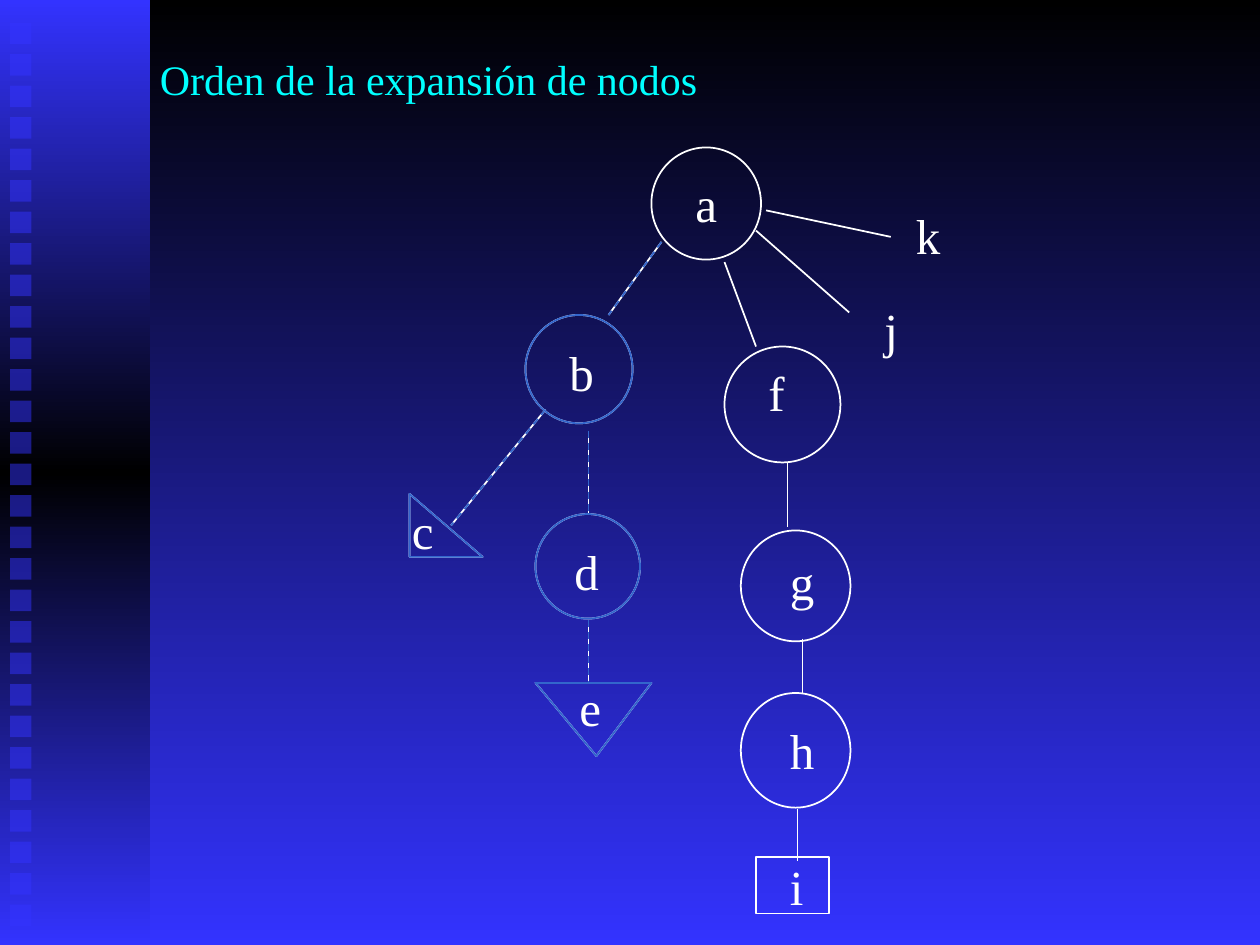
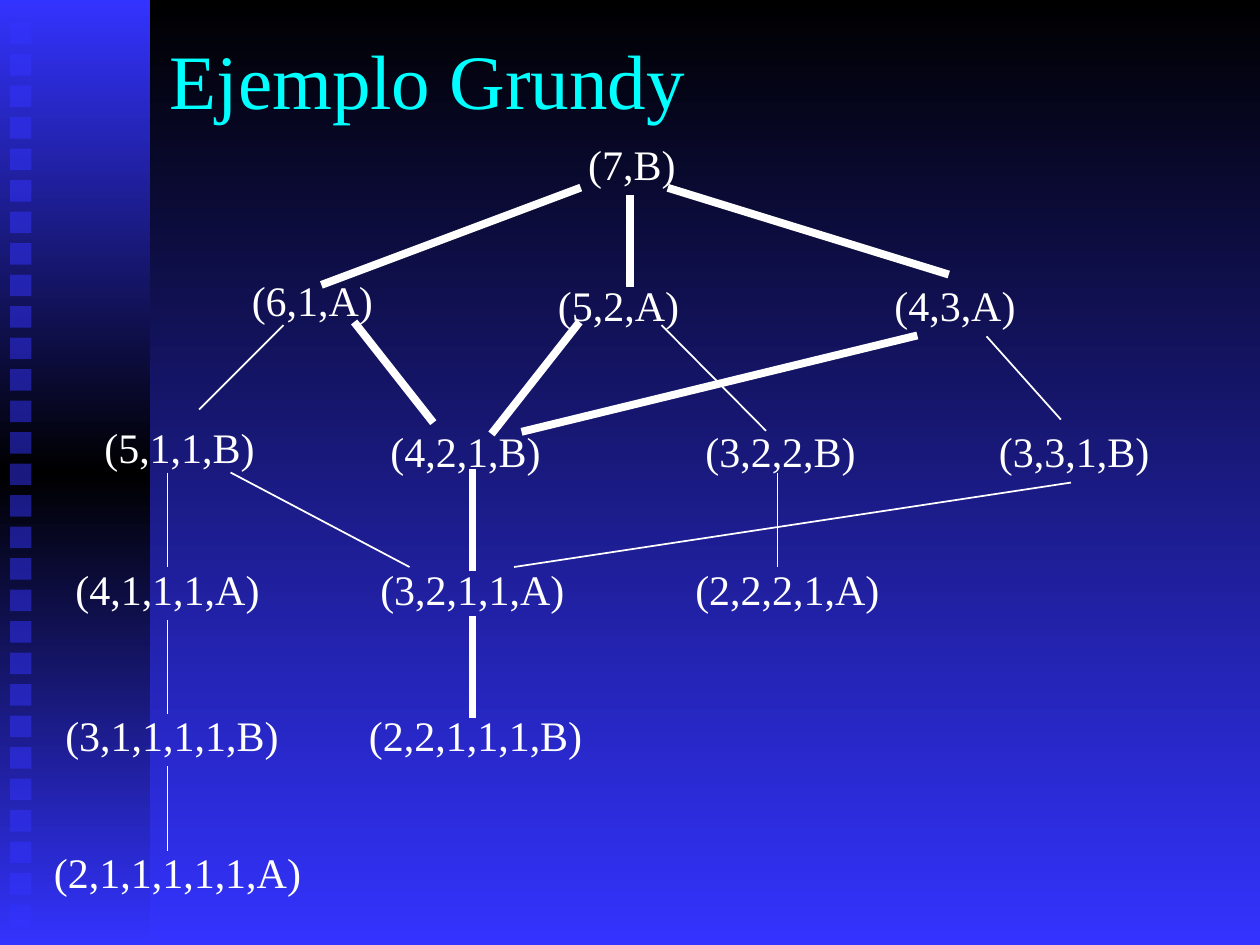
from lxml import etree
from pptx import Presentation
from pptx.dml.color import RGBColor
from pptx.enum.dml import MSO_LINE
from pptx.enum.shapes import MSO_CONNECTOR, MSO_SHAPE
from pptx.enum.text import MSO_ANCHOR, MSO_AUTO_SIZE
from pptx.oxml.ns import qn
from pptx.util import Pt

PX = 9144  # 100 px to the inch
FONT = "Times New Roman"
HUES = {"white": "FFFFFF", "black": "000000", "blue": "3333FF",
        "cyan": "00FFFF", "steel": "3366CC"}

RECT, OVAL = MSO_SHAPE.RECTANGLE, MSO_SHAPE.OVAL
RIGHT, TRI = MSO_SHAPE.RIGHT_TRIANGLE, MSO_SHAPE.ISOSCELES_TRIANGLE
DASH, STRAIGHT = MSO_LINE.DASH, MSO_CONNECTOR.STRAIGHT
MIDDLE, TOP = MSO_ANCHOR.MIDDLE, MSO_ANCHOR.TOP
GROW, FIXED = MSO_AUTO_SIZE.SHAPE_TO_FIT_TEXT, MSO_AUTO_SIZE.NONE
THIN, THICK = 1, 4.5


def emu(*nums):
    return [n * PX for n in nums]


def rgb(hue):
    return RGBColor.from_string(HUES[hue])


def fade(fill, node, hues):
    """Fill from top to bottom with evenly spaced colours."""
    fill.gradient()
    fill.gradient_angle = 270
    stops = node.find(".//" + qn("a:gsLst"))
    for stop in list(stops):
        stops.remove(stop)
    for i, hue in enumerate(hues):
        pos = str(100000 * i // (len(hues) - 1))
        stop = etree.SubElement(stops, qn("a:gs"), pos=pos)
        etree.SubElement(stop, qn("a:srgbClr"), val=HUES[hue])


def text(slide, words, box, size=24, hue="white", wrap=False,
         anchor=TOP, fit=GROW):
    frame = slide.shapes.add_textbox(*emu(*box)).text_frame
    frame.word_wrap = wrap
    frame.auto_size = fit
    frame.vertical_anchor = anchor
    run = frame.paragraphs[0].add_run()
    run.text = words
    run.font.name = FONT
    run.font.size = Pt(size)
    run.font.color.rgb = rgb(hue)


def plain(slide, kind, box):
    shape = slide.shapes.add_shape(kind, *emu(*box))
    shape.shadow.inherit = False
    shape.fill.background()
    shape.line.fill.background()
    return shape


def node(slide, kind, box, hue="white", turn=0, tip=None):
    shape = plain(slide, kind, box)
    shape.line.color.rgb = rgb(hue)
    shape.line.width = Pt(THIN)
    shape.rotation = turn
    if tip is not None:
        shape.adjustments[0] = tip


def edge(slide, ends, hue="white", width=THIN, dash=None):
    link = slide.shapes.add_connector(STRAIGHT, *emu(*ends))
    link.line.color.rgb = rgb(hue)
    link.line.width = Pt(width)
    if dash:
        link.line.dash_style = dash
    if width == THICK:
        link.element.find(".//" + qn("a:ln")).set("cap", "sq")
    etree.SubElement(link.element.spPr, qn("a:effectLst"))


def base(deck):
    """Add a slide with the shared background, side band and squares."""
    slide = deck.slides.add_slide(deck.slide_layouts[6])
    fade(slide.background.fill, slide.element, ["black", "blue"])
    band = plain(slide, RECT, (0, 0, 119, 750))
    fade(band.fill, band.element, ["blue", "black", "blue"])
    for i in range(29):
        dot = plain(slide, RECT, (8, 18 + 25 * i, 17, 17))
        dot.fill.solid()
        dot.fill.fore_color.rgb = rgb("blue")
        tone = dot.element.spPr.find(".//" + qn("a:srgbClr"))
        etree.SubElement(tone, qn("a:alpha"), val="50000")
    return slide


def title(slide, words, box, size):
    text(slide, words, box, size=size, hue="cyan", wrap=True,
         anchor=MIDDLE, fit=FIXED)


def tree(deck):
    slide = base(deck)

    # Open nodes and their edges
    for box in [(517, 117, 87, 89), (575, 275, 92, 92),
                (588, 421, 87, 88), (588, 550, 87, 91)]:
        node(slide, OVAL, box)
    node(slide, RECT, (600, 680, 58, 45))
    for ends in [(575, 208, 600, 275), (600, 183, 674, 248),
                 (608, 167, 707, 188), (625, 367, 625, 418),
                 (637, 507, 637, 550), (633, 642, 633, 683)]:
        edge(slide, ends)

    # Visited branch: steel blue laid over white
    for ends in [(525, 192, 483, 250), (433, 325, 358, 417),
                 (467, 342, 467, 408), (467, 492, 467, 542)]:
        edge(slide, ends)
        edge(slide, ends, hue="steel", dash=DASH)
    for hue in ("white", "steel"):
        node(slide, OVAL, (417, 250, 85, 86), hue)
        node(slide, OVAL, (425, 408, 83, 83), hue)
        node(slide, RIGHT, (325, 392, 58, 50), hue)
        node(slide, TRI, (425, 542, 92, 58), hue, turn=180, tip=0.475)

    # Letters
    for name, x, y, w in [
            ("a", 542, 133, 37), ("b", 442, 267, 39), ("c", 317, 392, 38),
            ("d", 446, 425, 40), ("e", 450, 533, 37), ("f", 600, 283, 33),
            ("g", 617, 433, 40), ("h", 617, 567, 40), ("i", 617, 675, 31),
            ("j", 692, 233, 31), ("k", 717, 158, 40)]:
        text(slide, name, (x, y, w, 57), size=28)
    title(slide, "Orden de la expansión de nodos", (117, 25, 850, 75), 24)


def game(deck):
    slide = base(deck)
    title(slide, "Ejemplo Grundy", (125, 0, 850, 125), 44)

    # States, one row per move, each row with its own box width
    rows = [
        (90, [("(7,B)", 457, 105)]),
        (116, [("(6,1,A)", 190, 213), ("(5,2,A)", 433, 217),
               ("(4,3,A)", 700, 217)]),
        (140, [("(5,1,1,B)", 73, 330), ("(4,2,1,B)", 300, 333),
               ("(3,2,2,B)", 550, 333), ("(3,3,1,B)", 783, 333)]),
        (166, [("(4,1,1,1,A)", 50, 442), ("(3,2,1,1,A)", 292, 442),
               ("(2,2,2,1,A)", 542, 442)]),
        (190, [("(3,1,1,1,1,B)", 42, 558), ("(2,2,1,1,1,B)", 283, 558)]),
        (216, [("(2,1,1,1,1,1,A)", 33, 667)]),
    ]
    for w, states in rows:
        for state, x, y in states:
            text(slide, state, (x, y, w, 50))

    # Moves: thick for the winning lines, thin for the rest
    moves = {
        THICK: [(458, 150, 258, 225), (533, 150, 750, 217),
                (500, 158, 500, 225), (283, 258, 342, 333),
                (458, 258, 392, 342), (725, 267, 417, 342),
                (375, 375, 375, 450), (375, 492, 375, 567)],
        THIN: [(225, 258, 158, 325), (525, 258, 608, 342),
               (783, 267, 842, 333), (133, 375, 133, 450),
               (183, 375, 325, 450), (617, 375, 617, 450),
               (850, 383, 408, 450), (133, 492, 133, 567),
               (133, 608, 133, 675)],
    }
    for width, lines in moves.items():
        for ends in lines:
            edge(slide, ends, width=width)


def main():
    deck = Presentation()
    deck.slide_width, deck.slide_height = emu(1000, 750)
    tree(deck)
    game(deck)
    deck.save("out.pptx")


if __name__ == "__main__":
    main()
